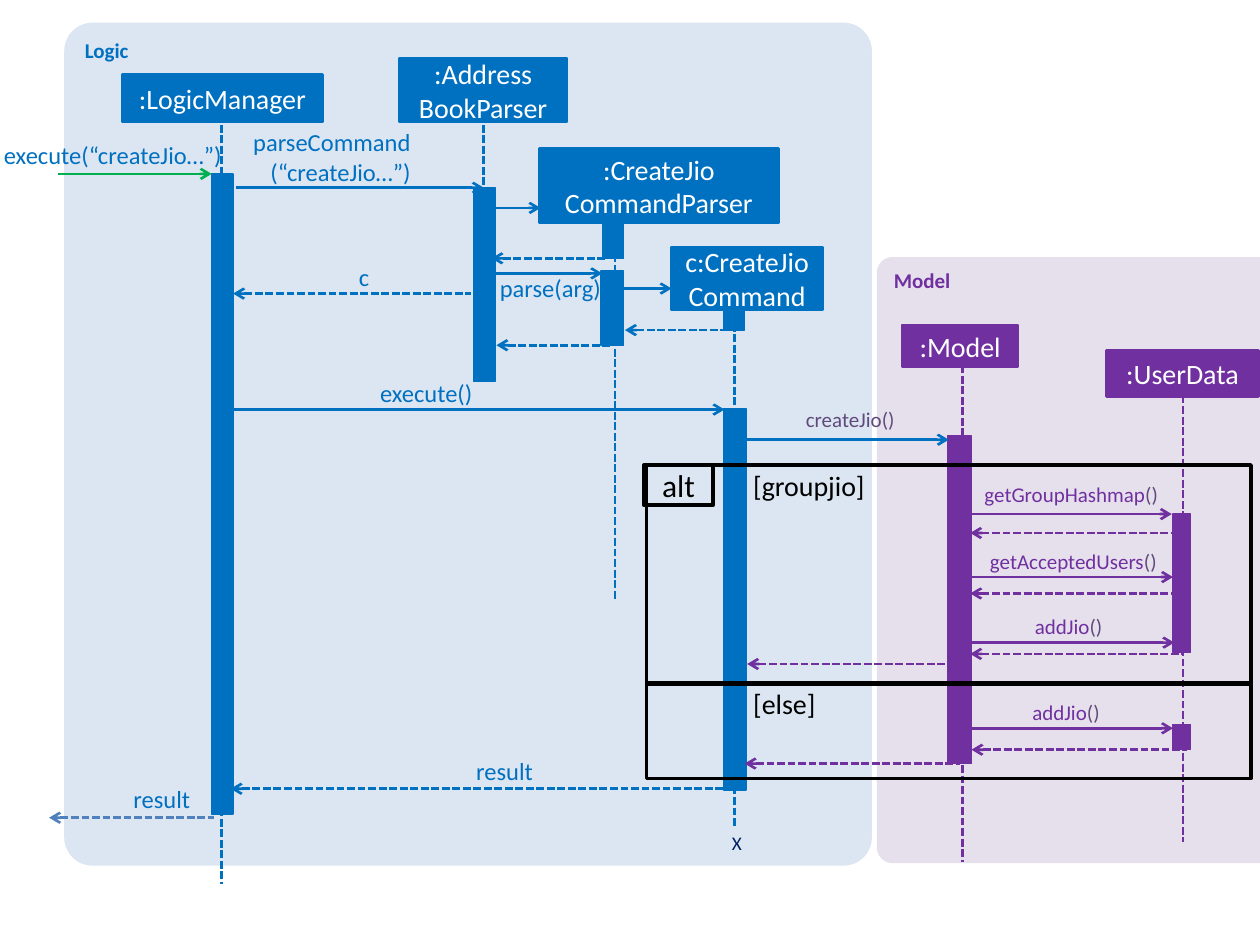
from lxml.etree import SubElement
from pptx import Presentation
from pptx.dml.color import RGBColor
from pptx.enum.dml import MSO_LINE
from pptx.enum.shapes import MSO_CONNECTOR, MSO_SHAPE
from pptx.enum.text import MSO_ANCHOR, MSO_AUTO_SIZE, PP_ALIGN
from pptx.oxml.ns import qn
from pptx.util import Cm, Pt

HUES = {
    "blue": "0070C0", "purple": "7030A0", "sky": "DCE6F2", "lilac": "E6E0EC",
    "plum": "604A7B", "green": "00B050", "steel": "4F81BD", "navy": "002060",
    "white": "FFFFFF", "black": "000000",
}
LEFT, MID, RIGHT = PP_ALIGN.LEFT, PP_ALIGN.CENTER, PP_ALIGN.RIGHT


def grid(*units):
    """Turn grid units of 2.54 cm into lengths."""
    return [Cm(unit * 2.54) for unit in units]


def hue(name):
    """Look up a colour by name."""
    return RGBColor.from_string(HUES[name])


class Chart:
    """Style and slide of a sequence diagram."""

    font = "Calibri"

    def __init__(self, slide):
        """Keep the slide to draw on."""
        self.shapes = slide.shapes

    def fill_text(self, frame, lines, size, tint, align=LEFT, bold=False):
        """Fill a frame; a line is a string or a list of (text, colour)."""
        for index, line in enumerate(lines):
            para = frame.paragraphs[0] if index == 0 else frame.add_paragraph()
            para.alignment = align
            for text, shade in [(line, tint)] if isinstance(line, str) else line:
                run = para.add_run()
                run.text = text
                run.font.name, run.font.size = self.font, Pt(size)
                run.font.bold = bold
                run.font.color.rgb = hue(shade)

    def block(self, at, fill=None, edge=None, width=0.75, kind=MSO_SHAPE.RECTANGLE):
        """Add a plain shape."""
        shape = self.shapes.add_shape(kind, *grid(*at))
        shape.shadow.inherit = False
        if fill:
            shape.fill.solid()
            shape.fill.fore_color.rgb = hue(fill)
        else:
            shape.fill.background()
        if edge:
            shape.line.color.rgb = hue(edge)
            shape.line.width = Pt(width)
        else:
            shape.line.fill.background()
        return shape

    def panel(self, name, at, fill, tint):
        """Add a rounded panel with its name at the top left."""
        shape = self.block(at, fill, kind=MSO_SHAPE.ROUNDED_RECTANGLE)
        shape.adjustments[0] = 0.035
        shape.text_frame.vertical_anchor = MSO_ANCHOR.TOP
        self.fill_text(shape.text_frame, [name], 12, tint, bold=True)

    def head(self, lines, at, tint):
        """Add the box that names an object."""
        frame = self.block(at, tint, tint, 1.5).text_frame
        frame.vertical_anchor = MSO_ANCHOR.MIDDLE
        self.fill_text(frame, lines, 16, "white", MID)

    def line(self, start, end, tint, dash=False, tip=None):
        """Add a line, dashed or with an arrow tip if asked."""
        link = self.shapes.add_connector(
            MSO_CONNECTOR.STRAIGHT, *grid(*start), *grid(*end))
        link.line.color.rgb = hue(tint)
        link.line.width = Pt(1.5)
        if dash:
            link.line.dash_style = MSO_LINE.SQUARE_DOT
        if tip:
            SubElement(link.get_or_add_ln(), qn("a:" + tip), type="arrow")
        SubElement(link.element.spPr, qn("a:effectLst"))

    def call(self, left, right, y, tint):
        """Add a solid arrow to the right."""
        self.line((left, y), (right, y), tint, tip="tailEnd")

    def reply(self, left, right, y, tint):
        """Add a dashed arrow to the left."""
        self.line((left, y), (right, y), tint, True, "headEnd")

    def label(self, lines, at, size=14, tint="blue", align=RIGHT):
        """Add wrapped text without margins."""
        frame = self.shapes.add_textbox(*grid(*at)).text_frame
        frame.word_wrap = True
        frame.auto_size = MSO_AUTO_SIZE.SHAPE_TO_FIT_TEXT
        frame.margin_left = frame.margin_right = 0
        frame.margin_top = frame.margin_bottom = 0
        self.fill_text(frame, lines, size, tint, align)

    def note(self, text, at, size, tint):
        """Add text on one line with normal margins."""
        frame = self.shapes.add_textbox(*grid(*at)).text_frame
        frame.word_wrap = False
        frame.auto_size = MSO_AUTO_SIZE.SHAPE_TO_FIT_TEXT
        self.fill_text(frame, [text], size, tint)


deck = Presentation()
deck.slide_width, deck.slide_height = grid(10, 7.5)
chart = Chart(deck.slides.add_slide(deck.slide_layouts[6]))

chart.panel("Model", (6.96, 2.04, 3.5, 4.81), "lilac", "purple")
chart.panel("Logic", (0.51, 0.18, 6.41, 6.69), "sky", "blue")

for x, top, end, tint in [
    (1.76, 0.99, 7.02, "blue"), (3.84, 0.99, 2.61, "blue"),
    (4.88, 1.85, 4.75, "blue"), (5.83, 2.32, 6.57, "blue"),
    (7.64, 2.9, 6.84, "purple"), (9.39, 3.14, 6.68, "purple"),
]:
    chart.line((x, top), (x, end), tint, dash=True)

for at, tint in [
    ((1.68, 1.38, 0.17, 5.08), "blue"), ((3.76, 1.49, 0.17, 1.54), "blue"),
    ((4.78, 1.75, 0.17, 0.3), "blue"), ((4.77, 2.15, 0.18, 0.59), "blue"),
    ((5.74, 2.32, 0.17, 0.3), "blue"), ((5.74, 3.24, 0.18, 3.03), "blue"),
    ((7.52, 3.46, 0.19, 2.6), "purple"), ((9.31, 4.08, 0.14, 1.1), "purple"),
    ((9.31, 5.75, 0.14, 0.2), "purple"),
]:
    chart.block(at, tint, tint)

for lines, at, tint in [
    ([":LogicManager"], (0.97, 0.59, 1.59, 0.38), "blue"),
    ([":Address", "BookParser"], (3.17, 0.46, 1.33, 0.51), "blue"),
    ([":CreateJio", "CommandParser"], (4.28, 1.18, 1.9, 0.59), "blue"),
    (["c:CreateJio", "Command"], (5.33, 1.96, 1.2, 0.5), "blue"),
    ([":Model"], (7.16, 2.58, 0.92, 0.33), "purple"),
    ([":UserData"], (8.78, 2.78, 1.21, 0.37), "purple"),
]:
    chart.head(lines, at, tint)

for left, right, y, tint in [
    (0.46, 1.68, 1.38, "green"), (1.87, 3.84, 1.49, "blue"),
    (3.93, 4.29, 1.65, "blue"), (3.92, 4.78, 2.17, "blue"),
    (4.93, 5.33, 2.29, "blue"), (1.85, 5.75, 3.25, "blue"),
    (5.92, 7.53, 3.49, "blue"), (7.68, 9.3, 4.08, "purple"),
    (7.7, 9.31, 4.58, "purple"), (7.71, 9.32, 5.1, "purple"),
    (7.7, 9.31, 5.78, "purple"),
]:
    chart.call(left, right, y, tint)

for left, right, y, tint in [
    (3.9, 4.81, 2.05, "blue"), (1.85, 3.74, 2.33, "blue"),
    (4.96, 5.87, 2.62, "blue"), (3.94, 4.85, 2.74, "blue"),
    (1.83, 5.84, 6.26, "blue"), (0.39, 1.7, 6.49, "steel"),
    (7.7, 9.3, 4.23, "purple"), (7.7, 9.31, 4.71, "purple"),
    (7.7, 9.4, 5.19, "purple"), (5.93, 7.64, 5.27, "purple"),
    (7.71, 9.42, 5.95, "purple"), (5.91, 7.62, 6.06, "purple"),
]:
    chart.reply(left, right, y, tint)

for lines, at in [
    (["execute(“createJio…”)"], (-0.12, 1.11, 1.88, 0.24)),
    (["parseCommand", "(“createJio…”)"], (1.93, 1.01, 1.33, 0.47)),
    (["c"], (2.69, 2.08, 0.24, 0.24)),
    (["parse(arg)"], (3.94, 2.17, 0.83, 0.24)),
    (["execute()"], (2.81, 3, 0.94, 0.24)),
    (["result"], (3.55, 6, 0.68, 0.24)),
    (["result"], (0.68, 6.22, 0.83, 0.24)),
]:
    chart.label(lines, at)

chart.label(["createJio()"], (6.18, 3.23, 0.92, 0.2), 12, "plum")
for name, at, align in [
    ("getGroupHashmap", (7.75, 3.82, 1.44, 0.2), RIGHT),
    ("getAcceptedUsers", (7.76, 4.35, 1.42, 0.2), RIGHT),
    ("addJio", (7.77, 4.87, 1.42, 0.2), MID),
    ("addJio", (7.75, 5.55, 1.42, 0.2), MID),
]:
    chart.label([[(name, "purple"), ("()", "plum")]], at, 12, align=align)

for top, height in [(3.69, 1.73), (5.43, 0.75)]:
    chart.block((5.13, top, 4.8, height), edge="black", width=2)
tag = chart.block((5.11, 3.69, 0.55, 0.32), edge="black", width=2).text_frame
tag.vertical_anchor = MSO_ANCHOR.MIDDLE
chart.fill_text(tag, ["alt"], 18, "black", MID)

chart.note("[groupjio]", (5.88, 3.67, 1.1, 0.37), 16, "black")
chart.note("[else]", (5.88, 5.4, 0.7, 0.37), 16, "black")
chart.note("X", (5.71, 6.55, 0.28, 0.29), 11, "navy")

deck.save("out.pptx")
